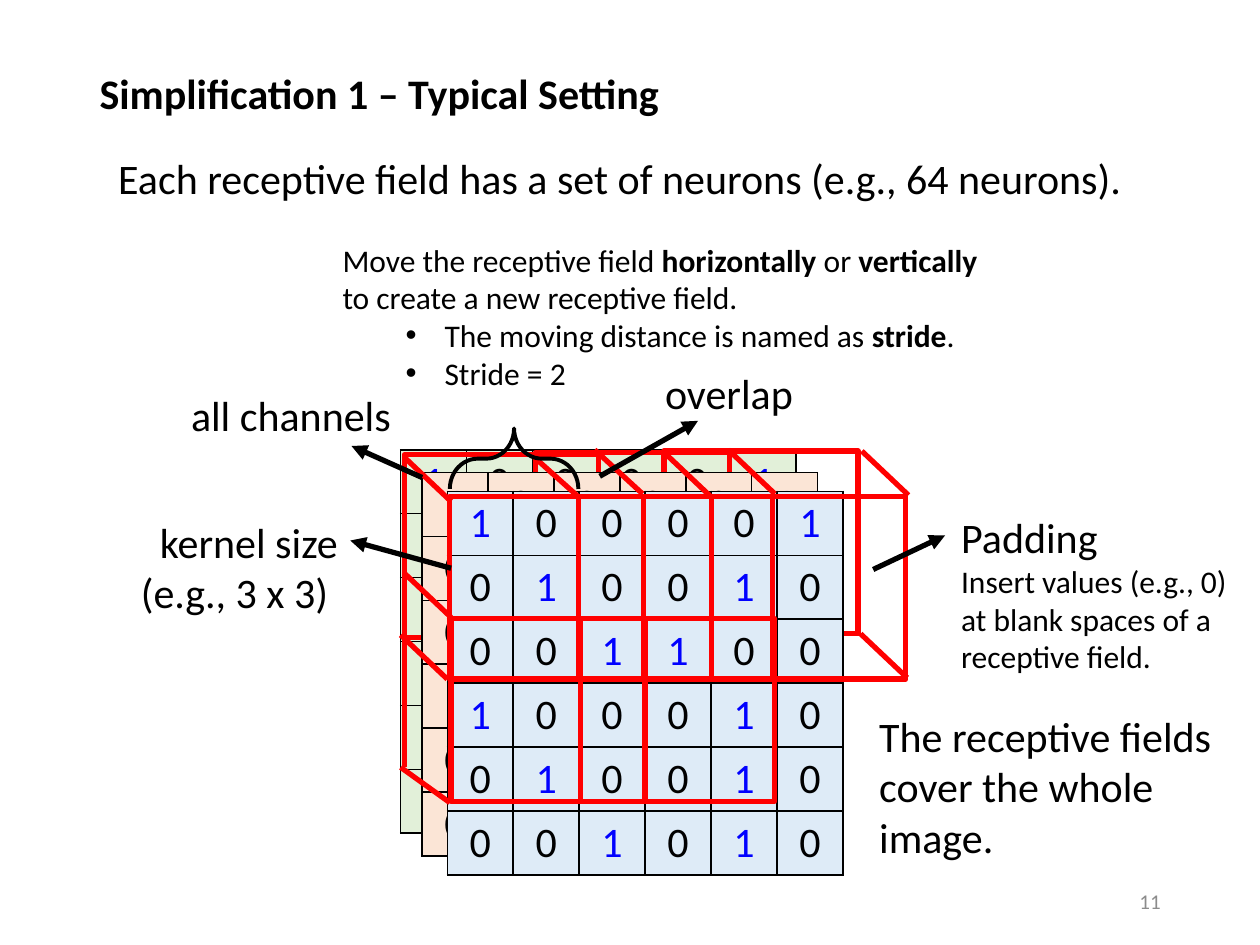
from lxml.etree import SubElement
from pptx import Presentation
from pptx.dml.color import RGBColor
from pptx.enum.shapes import MSO_CONNECTOR, MSO_SHAPE
from pptx.enum.text import MSO_ANCHOR, PP_ALIGN
from pptx.oxml.ns import qn
from pptx.util import Inches, Pt

FONT = "Calibri"
COLORS = {
    "black": "000000", "one": "0000FF", "field": "FF0000", "number": "8C8C8C",
    "green": "E2F0D9", "orange": "FBE5D6", "blue": "DEEBF7",
}
IMAGE_ROWS = ["100001", "010010", "001100", "100010", "010010", "001010"]
FIELD_SIZE = (1.54, 1.45)

# Channels, from back to front
BACK_CHANNEL = (3.18, 3.57, "green")
FRONT_CHANNELS = [(3.35, 3.75, "orange"), (3.55, 3.9, "blue")]

# Receptive fields: left, top
BACK_FIELDS = [(5.27, 3.58), (4.25, 3.59), (3.21, 3.61)]
FRONT_FIELDS = [(3.57, 3.94), (4.59, 3.94), (5.65, 3.94), (3.58, 4.91), (4.61, 4.91)]

# Edges joining back and front fields: start, end
FIELD_EDGES = [
    ((3.21, 3.63), (3.58, 3.98)), ((4.23, 3.62), (4.61, 3.96)),
    ((4.72, 3.57), (5.1, 3.92)), ((5.27, 3.59), (5.64, 3.94)),
    ((5.78, 3.57), (6.15, 3.92)), ((6.84, 3.58), (7.21, 3.93)),
    ((6.83, 5.03), (7.2, 5.38)), ((3.18, 5.04), (3.55, 5.39)),
    ((3.21, 4.55), (3.58, 4.9)), ((3.18, 6.09), (3.57, 6.37)),
    ((3.21, 4.51), (3.21, 6.09)),
]

# Arrows to labels: start, head
LABEL_ARROWS = [
    ((3.58, 4.51), (2.78, 4.29)),  # kernel size
    ((3.35, 3.79), (2.79, 3.54)),  # all channels
    ((6.93, 4.52), (7.5, 4.25)),   # padding
    ((4.76, 3.78), (5.54, 3.34)),  # overlap
]


def color(name):
    return RGBColor.from_string(COLORS[name])


def add_run(paragraph, text, size=24, bold=False, ink="black"):
    run = paragraph.add_run()
    run.text = text
    run.font.name = FONT
    run.font.size = Pt(size)
    run.font.bold = bold
    run.font.color.rgb = color(ink)


def add_label(slide, box, paragraphs, align=PP_ALIGN.LEFT, anchor=MSO_ANCHOR.TOP):
    """Each paragraph is a list of runs: (text, size, bold, ink)."""
    frame = slide.shapes.add_textbox(*map(Inches, box)).text_frame
    frame.word_wrap = True
    frame.vertical_anchor = anchor
    for index, runs in enumerate(paragraphs):
        paragraph = frame.add_paragraph() if index else frame.paragraphs[0]
        paragraph.alignment = align
        for run in runs:
            add_run(paragraph, *run)
    return frame


def add_bullet(paragraph):
    paragraph.level = 1
    properties = paragraph._p.get_or_add_pPr()
    properties.set("marL", str(Inches(0.81)))
    properties.set("indent", str(Inches(-0.31)))
    SubElement(properties, qn("a:buFont"), typeface="Arial")
    SubElement(properties, qn("a:buChar"), char="•")


def add_cell_borders(cell):
    properties = cell._tc.get_or_add_tcPr()
    for side in ("L", "R", "T", "B"):
        border = SubElement(properties, qn(f"a:ln{side}"), w=str(Pt(1)))
        fill = SubElement(border, qn("a:solidFill"))
        SubElement(fill, qn("a:srgbClr"), val=COLORS["black"])


def add_channel(slide, left, top, tint):
    count = len(IMAGE_ROWS)
    frame = slide.shapes.add_table(
        count, count, Inches(left), Inches(top), Inches(3.14), Inches(0.41 * count))
    frame.height = Inches(3)
    table = frame.table
    table.first_row = table.horz_banding = False
    for r, digits in enumerate(IMAGE_ROWS):
        for c, digit in enumerate(digits):
            cell = table.cell(r, c)
            add_cell_borders(cell)
            cell.fill.solid()
            cell.fill.fore_color.rgb = color(tint)
            paragraph = cell.text_frame.paragraphs[0]
            paragraph.alignment = PP_ALIGN.CENTER
            add_run(paragraph, digit, ink="one" if digit == "1" else "black")


def add_outline(slide, preset, box, ink, width):
    outline = slide.shapes.add_shape(preset, *map(Inches, box))
    outline.shadow.inherit = False
    outline.fill.background()
    outline.line.color.rgb = color(ink)
    outline.line.width = Pt(width)
    return outline


def add_fields(slide, corners):
    for corner in corners:
        add_outline(slide, MSO_SHAPE.RECTANGLE, corner + FIELD_SIZE, "field", 3)


def add_line(slide, start, end, ink, arrow=False):
    line = slide.shapes.add_connector(
        MSO_CONNECTOR.STRAIGHT, *map(Inches, start + end))
    line.line.color.rgb = color(ink)
    line.line.width = Pt(3)
    if arrow:
        SubElement(line.line._get_or_add_ln(), qn("a:tailEnd"), type="triangle")
    SubElement(line._element.spPr, qn("a:effectLst"))


def set_title(slide, text):
    title = slide.shapes.title
    title.left, title.top, title.width, title.height = map(
        Inches, (0.69, 0.4, 8.62, 0.72))
    title.text_frame.vertical_anchor = MSO_ANCHOR.MIDDLE
    paragraph = title.text_frame.paragraphs[0]
    paragraph.alignment = PP_ALIGN.LEFT
    paragraph.line_spacing = 0.9
    add_run(paragraph, text, bold=True)


def main():
    deck = Presentation()
    deck.slide_width, deck.slide_height = Inches(10), Inches(7.5)
    slide = deck.slides.add_slide(deck.slide_layouts[5])
    set_title(slide, "Simplification 1 – Typical Setting")

    # Image channels with their receptive fields
    add_channel(slide, *BACK_CHANNEL)
    add_fields(slide, BACK_FIELDS)
    for channel in FRONT_CHANNELS:
        add_channel(slide, *channel)
    add_fields(slide, FRONT_FIELDS)
    for start, end in FIELD_EDGES:
        add_line(slide, start, end, "field")

    # Stride brace and label arrows
    brace = add_outline(
        slide, MSO_SHAPE.RIGHT_BRACE, (3.84, 3.13, 0.48, 1.02), "black", 2.25)
    brace.rotation = 270
    brace.adjustments[0], brace.adjustments[1] = 0.46, 0.5
    for start, head in LABEL_ARROWS:
        add_line(slide, start, head, "black", arrow=True)

    # Explanations
    add_label(slide, (0.75, 1.16, 8.34, 0.5),
              [[("Each receptive field has a set of neurons (e.g., 64 neurons).",)]],
              PP_ALIGN.CENTER)
    moving = add_label(slide, (2.62, 1.86, 5.48, 1.72), [
        [("Move the receptive field ", 18), ("horizontally", 18, True), (" or ", 18),
         ("vertically", 18, True), (" to create a new receptive field.", 18)],
        [("The moving distance is named as ", 18), ("stride", 18, True), (".", 18)],
        [("Stride = 2", 18)],
    ])
    for paragraph in moving.paragraphs[1:]:
        add_bullet(paragraph)
    add_label(slide, (6.88, 5.59, 3, 1.31),
              [[("The receptive fields cover the whole image.",)]])

    # Labels
    add_label(slide, (1.31, 3.04, 2, 0.5), [[("all channels",)]], PP_ALIGN.CENTER)
    add_label(slide, (0.61, 4.05, 2.17, 0.91),
              [[("kernel size (e.g., 3 x 3) ",)]], PP_ALIGN.RIGHT)
    add_label(slide, (5.18, 2.87, 1.64, 0.5), [[("overlap",)]])
    add_label(slide, (7.53, 4.01, 2.47, 1.82), [
        [("Padding",)],
        [("Insert values (e.g., 0) at blank spaces of a receptive field.", 18)],
    ])

    # Slide number
    add_label(slide, (7.06, 6.95, 2.25, 0.4), [[("11", 12, False, "number")]],
              PP_ALIGN.RIGHT, MSO_ANCHOR.MIDDLE)

    deck.save("out.pptx")


if __name__ == "__main__":
    main()
